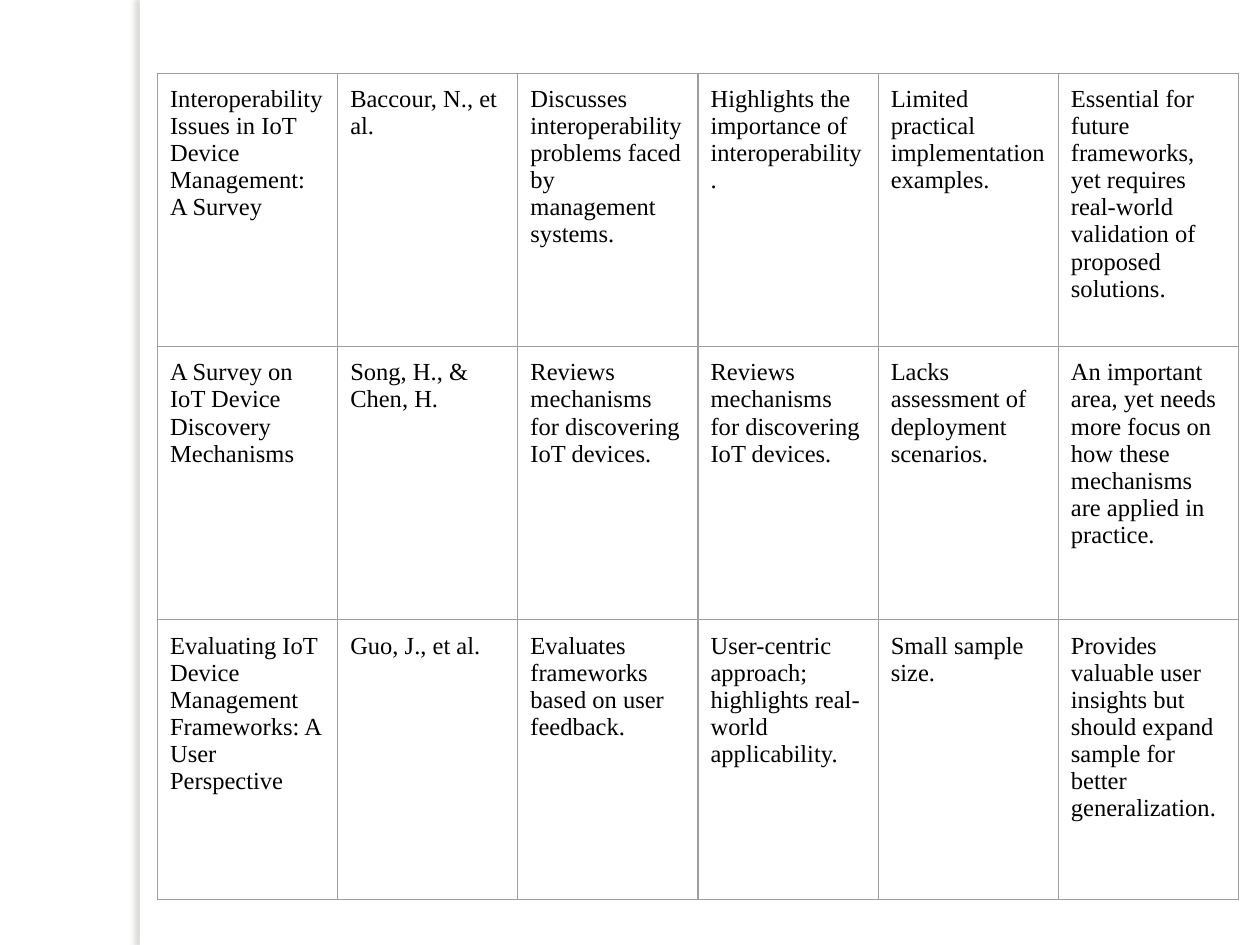
"""Build a literature survey table slide on IoT device management."""
from dataclasses import dataclass

from lxml import etree
from pptx import Presentation
from pptx.dml.color import RGBColor
from pptx.enum.shapes import MSO_SHAPE
from pptx.oxml.ns import qn
from pptx.util import Inches, Pt

RECTANGLE = MSO_SHAPE.RECTANGLE
BLANK_LAYOUT = 6
BORDER_TAGS = ("a:lnL", "a:lnR", "a:lnT", "a:lnB")


@dataclass(frozen=True)
class Theme:
    """Colours, font and sizes of the slide."""
    font: str = "Times New Roman"
    size: int = 14
    text: str = "000000"
    paper: str = "FFFFFF"
    border: str = "9E9E9E"
    border_width: float = 0.75
    shadow: str = "6F6A5F"


THEME = Theme()
COLUMN_WIDTH = 1.43
ROW_HEIGHTS = (2.17, 2.17, 2.22)
SURVEYS = (
    ("Interoperability Issues in IoT Device Management: A Survey",
     "Baccour, N., et al.",
     "Discusses interoperability problems faced by management systems.",
     "Highlights the importance of interoperability.",
     "Limited practical implementation examples.",
     "Essential for future frameworks, yet requires real-world validation "
     "of proposed solutions."),
    ("A Survey on IoT Device Discovery Mechanisms",
     "Song, H., & Chen, H.",
     "Reviews mechanisms for discovering IoT devices.",
     "Reviews mechanisms for discovering IoT devices.",
     "Lacks assessment of deployment scenarios.",
     "An important area, yet needs more focus on how these mechanisms are "
     "applied in practice."),
    ("Evaluating IoT Device Management Frameworks: A User Perspective",
     "Guo, J., et al.",
     "Evaluates frameworks based on user feedback.",
     "User-centric approach; highlights real-world applicability.",
     "Small sample size.",
     "Provides valuable user insights but should expand sample for better "
     "generalization."),
)


def add_color(parent, color):
    """Append an sRGB colour element and return it."""
    return etree.SubElement(parent, qn("a:srgbClr"), val=color)


def add_side_strip(s, height):
    """Add the vertical strip that casts a soft shadow to its left."""
    sp = s.shapes.add_shape(RECTANGLE, Inches(1.11), 0, Inches(0.08), height)
    sp.fill.solid()
    sp.fill.fore_color.rgb = RGBColor.from_string(THEME.paper)
    sp.line.fill.background()
    sp.shadow.inherit = False
    effects = sp.element.spPr.find(qn("a:effectLst"))
    shadow = etree.SubElement(
        effects, qn("a:outerShdw"), blurRad=str(Pt(3)), dist=str(Pt(3)),
        dir=str(180 * 60000), algn="tl", rotWithShape="0")
    etree.SubElement(add_color(shadow, THEME.shadow), qn("a:alpha"), val="24000")


def set_borders(cell):
    """Draw the same thin line on every side of a cell."""
    tc_pr = cell._tc.get_or_add_tcPr()
    for position, tag in enumerate(BORDER_TAGS):
        ln = etree.Element(qn(tag), w=str(Pt(THEME.border_width)))
        add_color(etree.SubElement(ln, qn("a:solidFill")), THEME.border)
        tc_pr.insert(position, ln)


def fill_cell(cell, text):
    """Write and format the text of one cell."""
    cell.fill.background()
    cell.margin_left = cell.margin_right = Inches(0.1)
    cell.margin_top = cell.margin_bottom = Inches(0.1)
    tf = cell.text_frame
    tf.text = text
    font = tf.paragraphs[0].runs[0].font
    font.name = THEME.font
    font.size = Pt(THEME.size)
    font.color.rgb = RGBColor.from_string(THEME.text)
    set_borders(cell)


def add_survey_table(s):
    """Add the table with one survey per row."""
    columns = len(SURVEYS[0])
    table = s.shapes.add_table(
        len(SURVEYS), columns, Inches(1.25), Inches(0.58),
        Inches(COLUMN_WIDTH * columns), Inches(sum(ROW_HEIGHTS))).table
    table.first_row = False
    table.horz_banding = False
    for column in table.columns:
        column.width = Inches(COLUMN_WIDTH)
    for row, height, texts in zip(table.rows, ROW_HEIGHTS, SURVEYS):
        row.height = Inches(height)
        for cell, text in zip(row.cells, texts):
            fill_cell(cell, text)


def main():
    """Build and save the presentation."""
    prs = Presentation()
    prs.slide_width, prs.slide_height = Inches(10), Inches(7.5)
    s = prs.slides.add_slide(prs.slide_layouts[BLANK_LAYOUT])
    add_side_strip(s, prs.slide_height)
    add_survey_table(s)
    prs.save("out.pptx")


if __name__ == "__main__":
    main()
